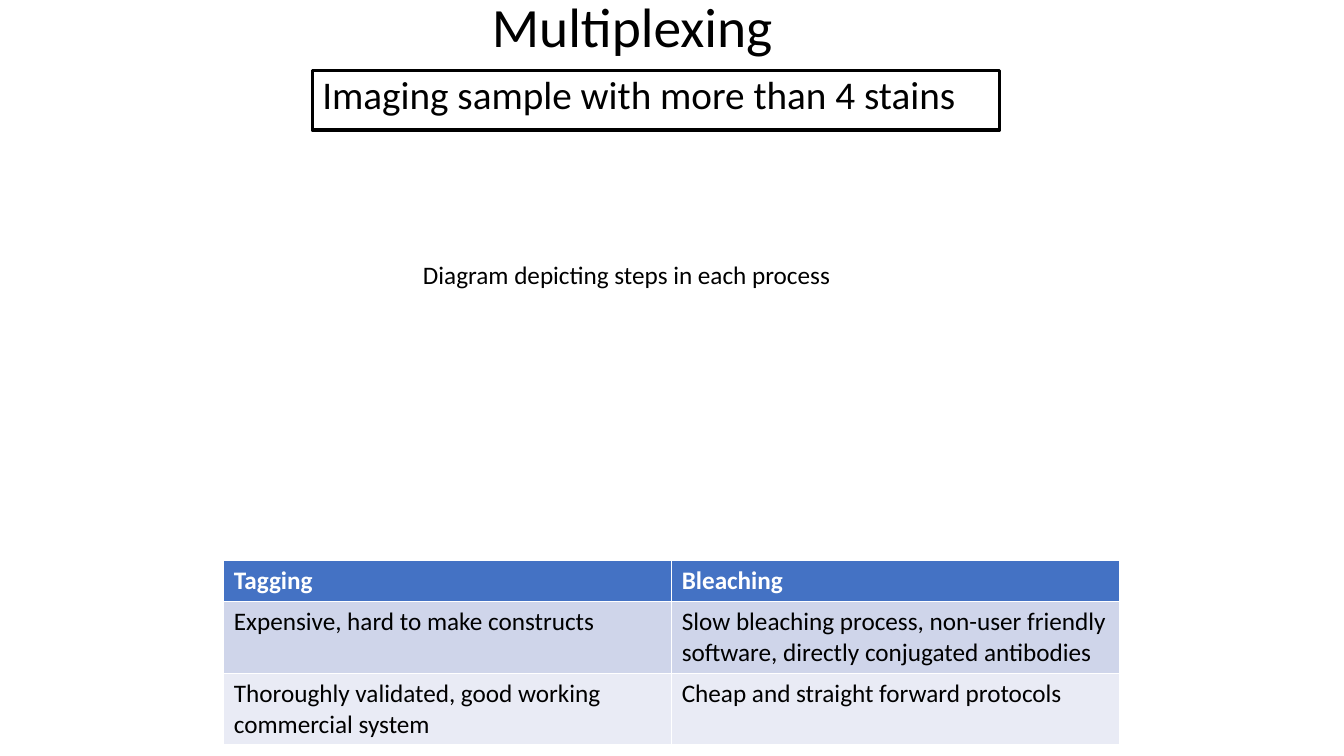
import pptx
import pptx.util
import pptx.dml.color
import pptx.enum.text
import pptx.oxml
import pptx.oxml.ns

Cm, Pt = pptx.util.Cm, pptx.util.Pt
RGBColor = pptx.dml.color.RGBColor
MSO_ANCHOR = pptx.enum.text.MSO_ANCHOR

TITLE = "Multiplexing"
SUBTITLE = "Imaging sample with more than 4 stains"
DIAGRAM_NOTE = "Diagram depicting steps in each process"
METHODS = [
    ("Tagging", "Bleaching"),
    ("Expensive, hard to make constructs",
     "Slow bleaching process, non-user friendly software, directly conjugated antibodies"),
    ("Thoroughly validated, good working commercial system",
     "Cheap and straight forward protocols"),
]

BLACK = RGBColor(0x00, 0x00, 0x00)
WHITE = RGBColor(0xFF, 0xFF, 0xFF)
ROW_FILLS = [RGBColor(0x44, 0x72, 0xC4), RGBColor(0xCF, 0xD5, 0xEA), RGBColor(0xE9, 0xEB, 0xF5)]
ROW_HEIGHTS = [Cm(1.04), Cm(1.78), Cm(1.78)]
COL_WIDTH = Cm(11.29)


def place(sp, left, top, width, height):
    sp.left, sp.top, sp.width, sp.height = Cm(left), Cm(top), Cm(width), Cm(height)


def write(tf, text, size, color=BLACK, bold=False):
    tf.text = text
    tf.word_wrap = True
    p = tf.paragraphs[0]
    p.alignment = pptx.enum.text.PP_ALIGN.LEFT
    p.font.name = "Calibri"
    p.font.size = Pt(size)
    p.font.bold = bold
    p.font.color.rgb = color
    return p


prs = pptx.Presentation()
prs.slide_width, prs.slide_height = Cm(33.87), Cm(19.05)
s = prs.slides.add_slide(prs.slide_layouts[1])

title = s.shapes.title
place(title, 12.14, 0, 21.2, 1.5)
title.text_frame.auto_size = pptx.enum.text.MSO_AUTO_SIZE.NONE
title.text_frame.vertical_anchor = MSO_ANCHOR.MIDDLE
write(title.text_frame, TITLE, 39.6).line_spacing = 0.9

body = s.placeholders[1]
place(body, 7.87, 1.78, 17.32, 1.5)
body.line.color.rgb = BLACK
body.line.width = Pt(2.5)
body.text_frame.auto_size = pptx.enum.text.MSO_AUTO_SIZE.NONE
body.text_frame.text = SUBTITLE
p = write(body.text_frame, SUBTITLE, 28)
p.line_spacing = 0.9
p.space_before = Pt(0)
pPr = p._p.get_or_add_pPr()
pPr.set("marL", "0")
pPr.set("indent", "0")
no_bullet = pptx.oxml.parse_xml(f"<a:buNone {pptx.oxml.ns.nsdecls('a')}/>")
pPr.find(pptx.oxml.ns.qn("a:defRPr")).addprevious(no_bullet)

frame = s.shapes.add_table(len(METHODS), 2, Cm(5.64), Cm(14.12), 2 * COL_WIDTH, sum(ROW_HEIGHTS))
table = frame.table
for column in table.columns:
    column.width = COL_WIDTH
for i, (row, texts) in enumerate(zip(table.rows, METHODS)):
    row.height = ROW_HEIGHTS[i]
    for cell, text in zip(row.cells, texts):
        cell.fill.solid()
        cell.fill.fore_color.rgb = ROW_FILLS[i]
        write(cell.text_frame, text, 18, BLACK if i else WHITE, bold=i == 0)

note = s.shapes.add_textbox(Cm(10.41), Cm(6.4), Cm(23.24), Cm(1.02))
write(note.text_frame, DIAGRAM_NOTE, 18)

prs.save("out.pptx")
